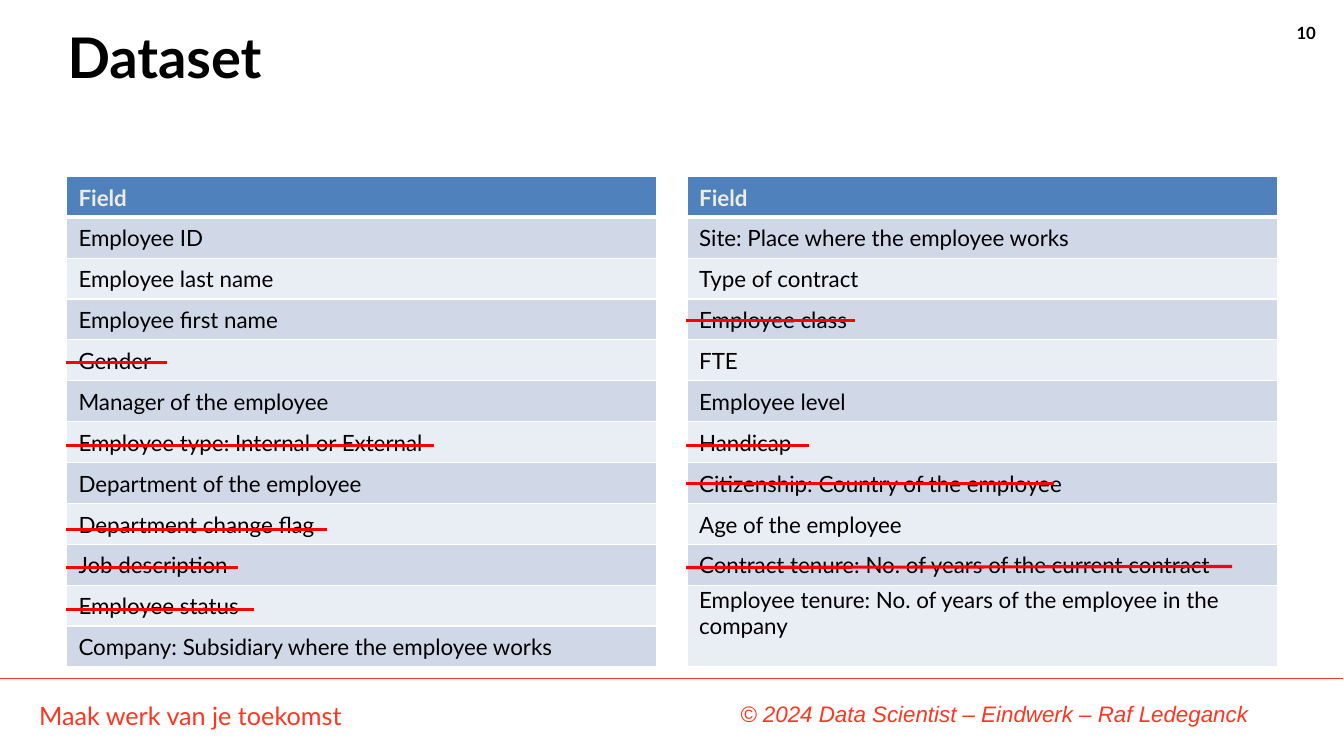
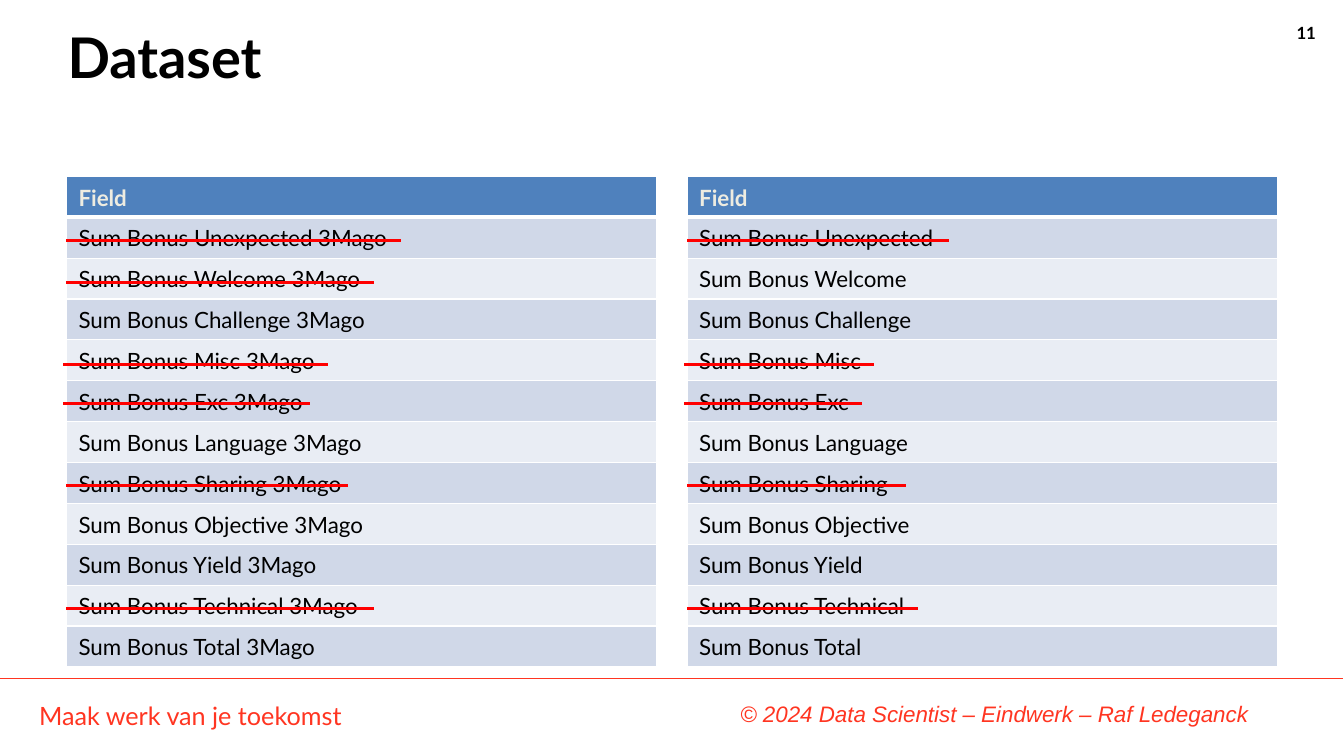
from dataclasses import dataclass

from lxml.etree import SubElement
from pptx import Presentation
from pptx.dml.color import RGBColor
from pptx.enum.shapes import MSO_CONNECTOR
from pptx.enum.text import MSO_ANCHOR, MSO_AUTO_SIZE, PP_ALIGN
from pptx.oxml.ns import qn
from pptx.slide import Slide
from pptx.table import _Cell
from pptx.text.text import TextFrame
from pptx.util import Emu, Inches, Pt


@dataclass(frozen=True)
class Theme:
    black: str = "000000"
    white: str = "FFFFFF"
    accent: str = "FF3521"
    strike: str = "FF0000"
    header_fill: str = "4F81BD"
    header_text: str = "EEECE1"
    bands: tuple[str, str] = ("D0D8E8", "E9EDF4")
    font: str = "Lato"
    credit_font: str = "Arial"
    title_size: int = 40
    tagline_size: int = 18
    body_size: int = 16
    number_size: int = 12
    rule_width: float = 0.75
    strike_width: float = 2.25
    border: int = 1
    header_border: int = 3


@dataclass(frozen=True)
class Strike:
    left: float
    right: float
    y: float
    rise: float = 0


@dataclass(frozen=True)
class DatasetSlide:
    number: int
    columns: tuple[list[str], list[str]]
    strikes: list[Strike]


THEME = Theme()
TABLE_LEFTS = (0.66, 6.82)
TABLE_TOP, TABLE_WIDTH, TABLE_HEIGHT = 1.75, 5.86, 4.87
ROW_HEIGHT = TABLE_HEIGHT / 12

EMPLOYEE_FIELDS = [
    "Employee ID",
    "Employee last name",
    "Employee first name",
    "Gender",
    "Manager of the employee",
    "Employee type: Internal or External",
    "Department of the employee",
    "Department change flag",
    "Job description",
    "Employee status",
    "Company: Subsidiary where the employee works",
]
CONTRACT_FIELDS = [
    "Site: Place where the employee works",
    "Type of contract",
    "Employee class",
    "FTE",
    "Employee level",
    "Handicap",
    "Citizenship: Country of the employee",
    "Age of the employee",
    "Contract tenure: No. of years of the current contract",
    "Employee tenure: No. of years of the employee in the company",
]
BONUSES = [
    "Unexpected", "Welcome", "Challenge", "Misc", "Exc", "Language",
    "Sharing", "Objective", "Yield", "Technical", "Total",
]

SLIDES = [
    DatasetSlide(
        10,
        (EMPLOYEE_FIELDS, CONTRACT_FIELDS),
        [
            Strike(0.66, 1.66, 3.6),
            Strike(0.66, 4.31, 4.42),
            Strike(0.66, 3.25, 5.25),
            Strike(0.66, 2.36, 5.63),
            Strike(0.66, 2.52, 6.05),
            Strike(6.81, 8.49, 3.18),
            Strike(6.81, 8.03, 4.42),
            Strike(6.81, 10.46, 4.8),
            Strike(6.81, 12.23, 5.63, rise=0.01),
        ],
    ),
    DatasetSlide(
        11,
        (
            [f"Sum Bonus {bonus} 3Mago" for bonus in BONUSES],
            [f"Sum Bonus {bonus}" for bonus in BONUSES],
        ),
        [
            Strike(0.66, 3.98, 2.39),
            Strike(0.66, 3.71, 2.8),
            Strike(0.63, 3.26, 3.62),
            Strike(0.63, 3.08, 4),
            Strike(0.66, 3.45, 4.82),
            Strike(0.66, 3.71, 6.04),
            Strike(6.82, 9.42, 2.39),
            Strike(6.79, 8.68, 3.62),
            Strike(6.79, 8.56, 4),
            Strike(6.82, 8.99, 4.82),
            Strike(6.82, 9.11, 6.04),
        ],
    ),
]


def rgb(color: str) -> RGBColor:
    return RGBColor.from_string(color)


def write(
    tf: TextFrame,
    text: str,
    *,
    size: float,
    color: str = THEME.black,
    font: str = THEME.font,
    bold: bool = False,
    italic: bool = False,
    align: PP_ALIGN = PP_ALIGN.LEFT,
    line_spacing: float = 1.0,
) -> None:
    tf.word_wrap = True
    p = tf.paragraphs[0]
    p.alignment = align
    p.line_spacing = line_spacing
    r = p.add_run()
    r.text = text
    r.font.name = font
    r.font.size = Pt(size)
    r.font.bold = bold
    r.font.italic = italic
    r.font.color.rgb = rgb(color)


def add_text_box(
    s: Slide, left: float, top: float, width: float, height: float
) -> TextFrame:
    box = s.shapes.add_textbox(
        Inches(left), Inches(top), Inches(width), Inches(height)
    )
    return box.text_frame


def add_line(
    s: Slide, x1: float, y1: float, x2: float, y2: float,
    color: str, width: float,
) -> None:
    line = s.shapes.add_connector(
        MSO_CONNECTOR.STRAIGHT, Inches(x1), Inches(y1), Inches(x2), Inches(y2)
    )
    line.line.color.rgb = rgb(color)
    line.line.width = Pt(width)
    SubElement(line._element.spPr, qn("a:effectLst"))


def add_title(s: Slide, text: str) -> None:
    title = s.shapes.title
    title.left, title.top = Inches(0.67), Inches(0.3)
    title.width, title.height = Inches(12), Inches(1.25)
    tf = title.text_frame
    tf.margin_left = tf.margin_top = tf.margin_right = tf.margin_bottom = 0
    tf.vertical_anchor = MSO_ANCHOR.TOP
    tf.auto_size = MSO_AUTO_SIZE.NONE
    write(tf, text, size=THEME.title_size, bold=True, line_spacing=0.9)


def add_frame(s: Slide, number: int) -> None:
    write(
        add_text_box(s, 0.29, 6.9, 8.5, 0.4),
        "Maak werk van je toekomst",
        size=THEME.tagline_size,
        color=THEME.accent,
    )
    add_line(s, 0, 6.73, 13.33, 6.73, THEME.accent, THEME.rule_width)
    write(
        add_text_box(s, 12.67, 0.18, 0.49, 0.3),
        str(number),
        size=THEME.number_size,
        bold=True,
        align=PP_ALIGN.RIGHT,
    )
    write(
        add_text_box(s, 3.82, 6.9, 8.67, 0.35),
        "© 2024 Data Scientist – Eindwerk – Raf Ledeganck",
        size=THEME.body_size,
        color=THEME.accent,
        font=THEME.credit_font,
        italic=True,
        align=PP_ALIGN.RIGHT,
    )


def set_borders(cell: _Cell, top: float, bottom: float) -> None:
    tc_pr = cell._tc.get_or_add_tcPr()
    widths = {
        "lnL": THEME.border, "lnR": THEME.border, "lnT": top, "lnB": bottom,
    }
    for index, (side, width) in enumerate(widths.items()):
        ln = SubElement(tc_pr, qn(f"a:{side}"), w=str(Pt(width)))
        fill = SubElement(ln, qn("a:solidFill"))
        SubElement(fill, qn("a:srgbClr"), val=THEME.white)
        tc_pr.insert(index, ln)


def fill_cell(cell: _Cell, text: str, row: int) -> None:
    is_header = row == 0
    cell.margin_left, cell.margin_right = Inches(0.12), Inches(0.01)
    cell.margin_top, cell.margin_bottom = Inches(0.01), Emu(0)
    cell.vertical_anchor = MSO_ANCHOR.MIDDLE
    cell.fill.solid()
    cell.fill.fore_color.rgb = rgb(
        THEME.header_fill if is_header else THEME.bands[(row - 1) % 2]
    )
    set_borders(
        cell,
        top=THEME.header_border if row == 1 else THEME.border,
        bottom=THEME.header_border if is_header else THEME.border,
    )
    write(
        cell.text_frame,
        text,
        size=THEME.body_size,
        color=THEME.header_text if is_header else THEME.black,
        bold=is_header,
    )


def add_field_table(s: Slide, left: float, fields: list[str]) -> None:
    rows = ["Field", *fields]
    table = s.shapes.add_table(
        len(rows), 1, Inches(left), Inches(TABLE_TOP),
        Inches(TABLE_WIDTH), Inches(TABLE_HEIGHT),
    ).table
    table.horz_banding = False
    for row, text in enumerate(rows):
        table.rows[row].height = Inches(ROW_HEIGHT)
        fill_cell(table.cell(row, 0), text, row)
    last_height = TABLE_HEIGHT - ROW_HEIGHT * (len(rows) - 1)
    table.rows[len(rows) - 1].height = Inches(last_height)
    if last_height > 1.5 * ROW_HEIGHT:
        table.cell(len(rows) - 1, 0).vertical_anchor = MSO_ANCHOR.TOP


def main() -> None:
    prs = Presentation()
    prs.slide_width, prs.slide_height = Inches(13.34), Inches(7.5)
    for content in SLIDES:
        s = prs.slides.add_slide(prs.slide_layouts.get_by_name("Title Only"))
        add_frame(s, content.number)
        add_title(s, "Dataset")
        for left, fields in zip(TABLE_LEFTS, content.columns):
            add_field_table(s, left, fields)
        for mark in content.strikes:
            add_line(
                s, mark.left, mark.y, mark.right, mark.y - mark.rise,
                THEME.strike, THEME.strike_width,
            )
    prs.save("out.pptx")


if __name__ == "__main__":
    main()
